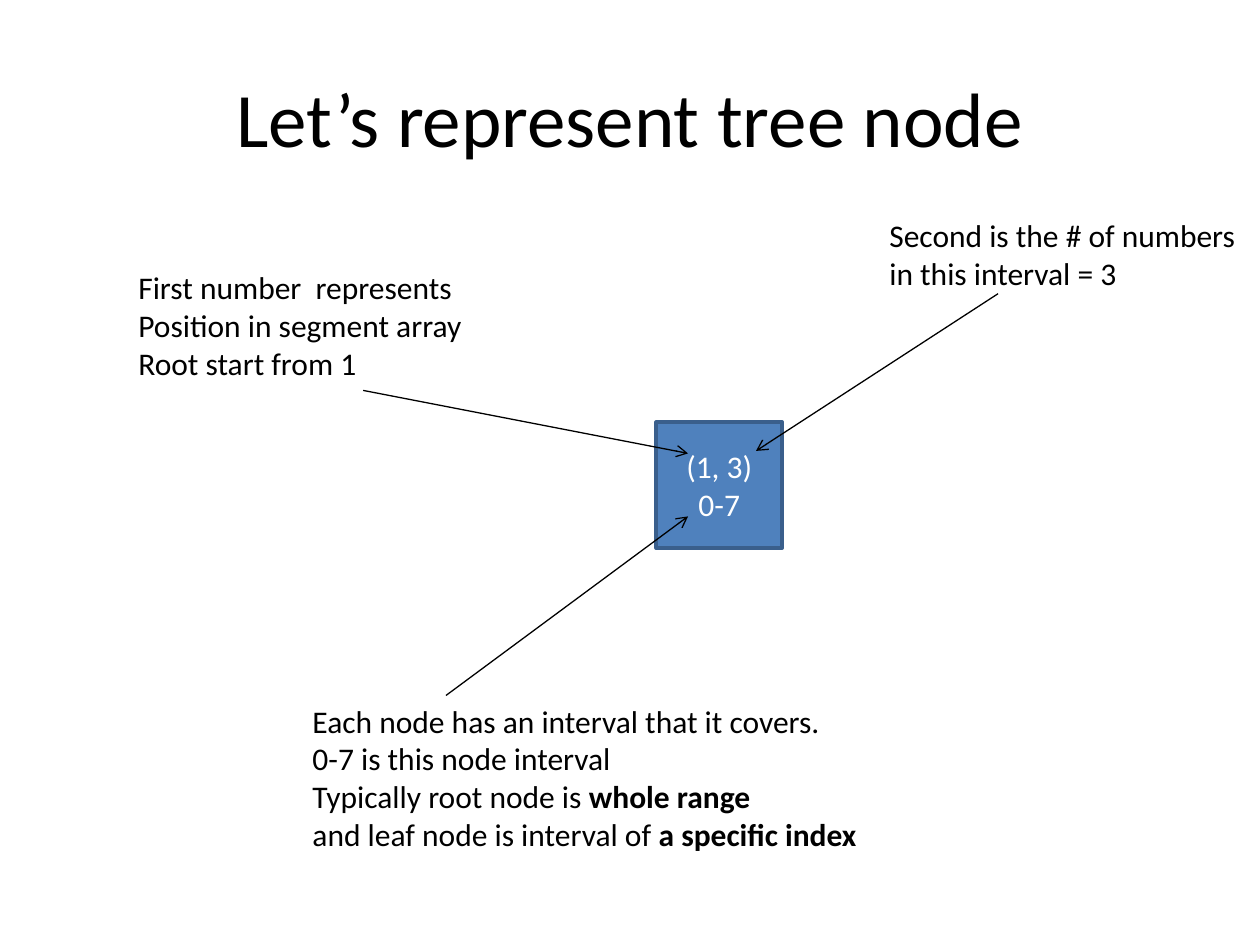
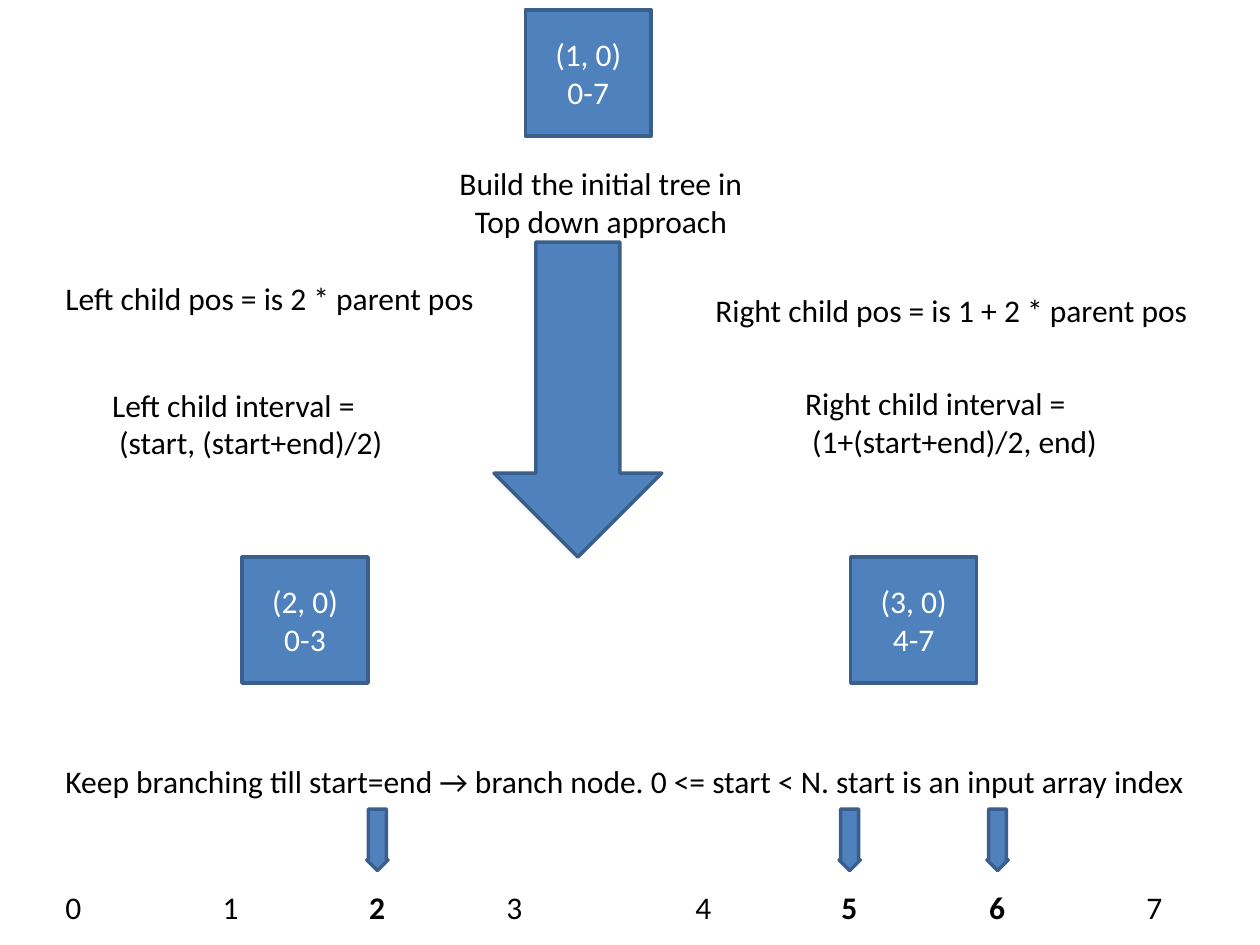
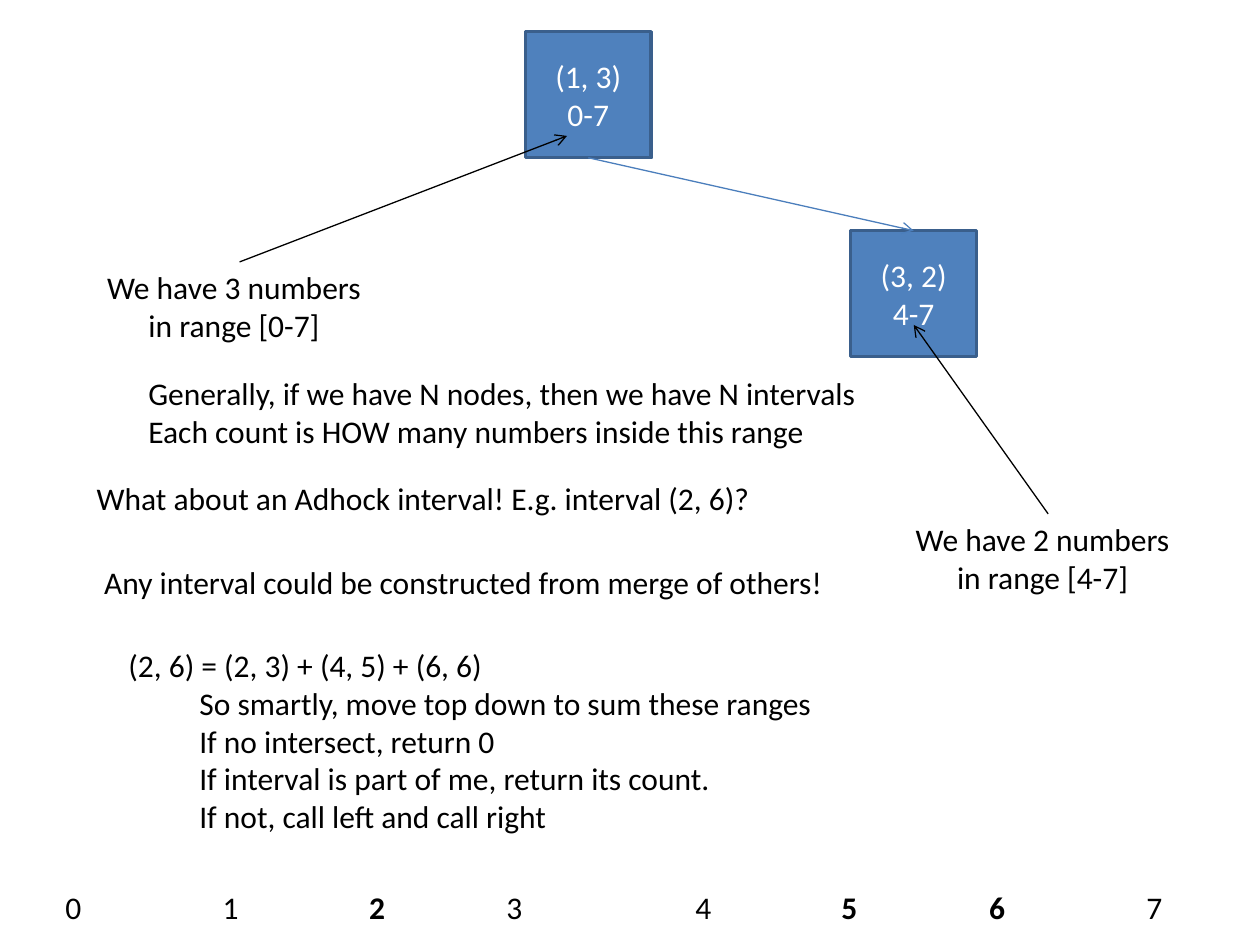
from pptx import Presentation
from pptx.dml.color import RGBColor
from pptx.enum.shapes import MSO_CONNECTOR, MSO_SHAPE as Shape
from pptx.enum.text import MSO_ANCHOR as Anchor, MSO_AUTO_SIZE as AutoSize, PP_ALIGN as Align
from pptx.oxml.ns import qn
from pptx.util import Cm, Pt
from lxml.etree import SubElement

# Shared look, lengths in cm
FONT, TITLE_SIZE, BODY_SIZE = "Calibri", 44, 18
BLACK, WHITE, BLUE, BORDER, BRANCH = "000000", "FFFFFF", "4F81BD", "3A5F8C", "4B7EBC"
NODE_SIDE = 2.54
LEFT, CENTER = Align.LEFT, Align.CENTER

# Input array indices along the bottom edge
INDEX_LEFTS = [1.07, 4.24, 7.19, 9.96, 13.77, 16.71, 19.69, 22.86]
INDEX_TOP, INDEX_WIDTH = 17.78, 0.84
SELECTED = (2, 5, 6)
MARKER_TOP, MARKER_WIDTH, MARKER_HEIGHT = 16.31, 0.43, 1.24

# Nodes: left, top, lines.  Notes: left, top, width, lines (** marks bold), alignment
TITLE = "Let’s represent tree node"
ANATOMY_NODE = (13.23, 8.51, ["(1, 3)", "0-7"])
ANATOMY_NOTES = [
    (6.05, 14.02, 11.53, ["Each node has an interval that it covers.",
                          "0-7 is this node interval",
                          "Typically root node is **whole range",
                          "and leaf node is interval of **a specific index"], LEFT),
    (2.54, 5.28, 7.11, ["First number  represents", "Position in segment array",
                        "Root start from 1"], LEFT),
    (17.68, 4.24, 7.72, ["Second is the # of numbers", "in this interval = 3"], LEFT),
]
ANATOMY_POINTERS = [
    ((8.99, 14.02), (13.87, 10.41)),
    ((7.32, 7.87), (13.87, 9.14)),
    ((20.12, 5.92), (15.24, 9.09)),
]

BUILD_NODES = [
    (10.59, 0.2, ["(1, 0)", "0-7"]),
    (4.88, 11.23, ["(2, 0)", "0-3"]),
    (17.15, 11.23, ["(3, 0)", "4-7"]),
]
BUILD_ARROW = (9.96, 4.88, 3.38, 6.35)
BUILD_NOTES = [
    (8.89, 3.18, 6.45, ["Build the initial tree in", "Top down approach"], CENTER),
    (1.07, 5.51, 8.86, ["Left child pos = is 2 * parent pos"], LEFT),
    (14.17, 5.74, 10.16, ["Right child pos = is 1 + 2 * parent pos"], LEFT),
    (2.01, 7.65, 6.02, ["Left child interval =", " (start, (start+end)/2)"], LEFT),
    (15.98, 7.62, 6.48, ["Right child interval =", " (1+(start+end)/2, end)"], LEFT),
    (1.07, 15.24, 23.24, ["Keep branching till start=end → branch node. 0 <= start < N. "
                          "start is an input array index"], LEFT),
]

QUERY_ROOT = (10.59, 0.64, ["(1, 3)", "0-7"])
QUERY_CHILD = (17.15, 4.65, ["(3, 2)", "4-7"])
# Count notes, each with the point inside the node that it explains
QUERY_COUNTS = [
    ((18.21, 10.36, 5.84, ["We have 2 numbers", "in range [4-7]"], CENTER), (18.42, 6.55)),
    ((1.91, 5.28, 5.84, ["We have 3 numbers", "in range [0-7]"], CENTER), (11.43, 2.74)),
]
QUERY_NOTES = [
    (2.74, 7.42, 14.96, ["Generally, if we have N nodes, then we have N intervals",
                         "Each count is HOW many numbers inside this range"], LEFT),
    (1.7, 9.53, 13.77, ["What about an Adhock interval! E.g. interval (2, 6)?"], LEFT),
    (1.85, 11.23, 15.49, ["Any interval could be constructed from merge of others!"], LEFT),
]
QUERY_STEPS = (2.34, 12.9, 14.45, ["(2, 6) = (2, 3) + (4, 5) + (6, 6)",
                                   "So smartly, move top down to sum these ranges",
                                   "If no intersect, return 0",
                                   "If interval is part of me, return its count.",
                                   "If not, call left and call right"], LEFT)
STEP_INDENT = 1.43


def rgb(value):
    return RGBColor.from_string(value)


def format_text(frame, size, color, align):
    for paragraph in frame.paragraphs:
        paragraph.alignment = align
        for run in paragraph.runs:
            run.font.name, run.font.size = FONT, Pt(size)
            run.font.color.rgb = rgb(color)


def add_block(slide, kind, left, top, width, height, lines=()):
    block = slide.shapes.add_shape(kind, Cm(left), Cm(top), Cm(width), Cm(height))
    block.shadow.inherit = False
    block.fill.solid()
    block.fill.fore_color.rgb = rgb(BLUE)
    block.line.color.rgb = rgb(BORDER)
    block.line.width = Pt(2)
    if lines:
        block.text_frame.text = "\n".join(lines)
        block.text_frame.vertical_anchor = Anchor.MIDDLE
        format_text(block.text_frame, BODY_SIZE, WHITE, CENTER)
    return block


def add_node(slide, left, top, lines):
    return add_block(slide, Shape.RECTANGLE, left, top, NODE_SIDE, NODE_SIDE, lines)


def add_note(slide, left, top, width, lines, align):
    height = 0.25 + 0.77 * len(lines)
    note = slide.shapes.add_textbox(Cm(left), Cm(top), Cm(width), Cm(height))
    frame = note.text_frame
    frame.word_wrap = False
    frame.auto_size = AutoSize.SHAPE_TO_FIT_TEXT
    frame.text = "\n".join(line.split("**")[0] for line in lines)
    for paragraph, line in zip(frame.paragraphs, lines):
        for strong in line.split("**")[1:]:
            run = paragraph.add_run()
            run.text = strong
            run.font.bold = True
    format_text(frame, BODY_SIZE, BLACK, align)
    return note


def add_pointer(slide, start, end, color=BLACK):
    pointer = slide.shapes.add_connector(MSO_CONNECTOR.STRAIGHT, *map(Cm, start + end))
    pointer.line.color.rgb = rgb(color)
    pointer.line.width = Pt(0.75)
    SubElement(pointer.line._get_or_add_ln(), qn("a:tailEnd"), type="arrow")
    SubElement(pointer._element.spPr, qn("a:effectLst"))
    return pointer


def add_indices(slide):
    for index, left in enumerate(INDEX_LEFTS):
        label = f"**{index}" if index in SELECTED else str(index)
        add_note(slide, left, INDEX_TOP, INDEX_WIDTH, [label], LEFT)


def build_anatomy(slide):
    title = slide.shapes.title
    title.left, title.top, title.width, title.height = Cm(1.27), Cm(0.76), Cm(22.86), Cm(3.18)
    title.text_frame.text = TITLE
    title.text_frame.vertical_anchor = Anchor.MIDDLE
    format_text(title.text_frame, TITLE_SIZE, BLACK, CENTER)
    add_node(slide, *ANATOMY_NODE)
    for note in ANATOMY_NOTES:
        add_note(slide, *note)
    for start, end in ANATOMY_POINTERS:
        add_pointer(slide, start, end)


def build_construction(slide):
    for node in BUILD_NODES:
        add_node(slide, *node)
    add_block(slide, Shape.DOWN_ARROW, *BUILD_ARROW)
    for note in BUILD_NOTES:
        add_note(slide, *note)
    add_indices(slide)
    # Markers stand centred above the selected indices
    for index in SELECTED:
        left = INDEX_LEFTS[index] + (INDEX_WIDTH - MARKER_WIDTH) / 2
        marker = add_block(slide, Shape.DOWN_ARROW, left, MARKER_TOP, MARKER_WIDTH, MARKER_HEIGHT)
        marker.adjustments[0] = 0.84


def build_query(slide):
    root = add_node(slide, *QUERY_ROOT)
    child = add_node(slide, *QUERY_CHILD)
    branch = add_pointer(slide, QUERY_ROOT[:2], QUERY_CHILD[:2], BRANCH)
    branch.begin_connect(root, 2)
    branch.end_connect(child, 0)
    for count, target in QUERY_COUNTS:
        note = add_note(slide, *count)
        note.text_frame.paragraphs[0].alignment = LEFT
        add_pointer(slide, count[:2], target).begin_connect(note, 0)
    for note in QUERY_NOTES:
        add_note(slide, *note)
    steps = add_note(slide, *QUERY_STEPS)
    for paragraph in steps.text_frame.paragraphs[1:]:
        paragraph._p.get_or_add_pPr().set("marL", str(Cm(STEP_INDENT)))
    add_indices(slide)


def main():
    deck = Presentation()
    deck.slide_width, deck.slide_height = Cm(25.4), Cm(19.05)
    title_only, blank = deck.slide_layouts[5], deck.slide_layouts[6]
    for layout, build in [(title_only, build_anatomy), (blank, build_construction),
                          (blank, build_query)]:
        build(deck.slides.add_slide(layout))
    deck.save("out.pptx")


if __name__ == "__main__":
    main()
